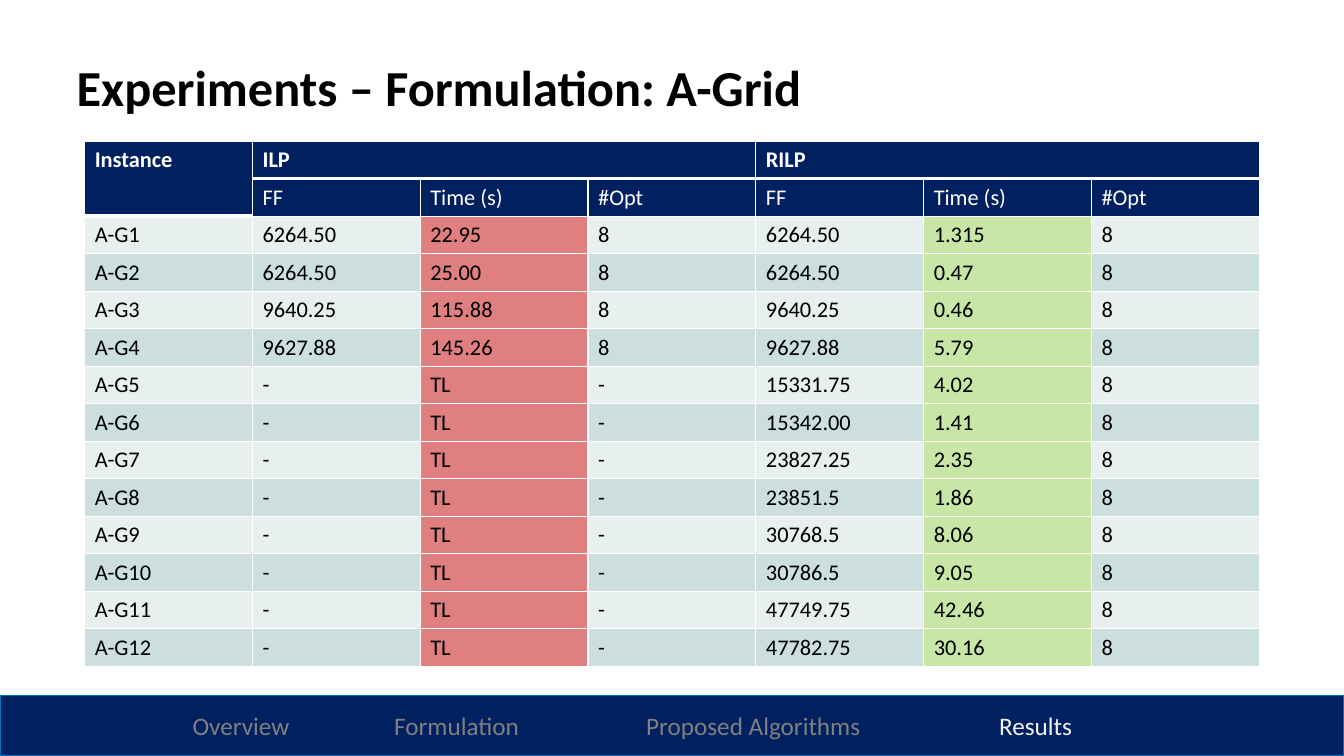
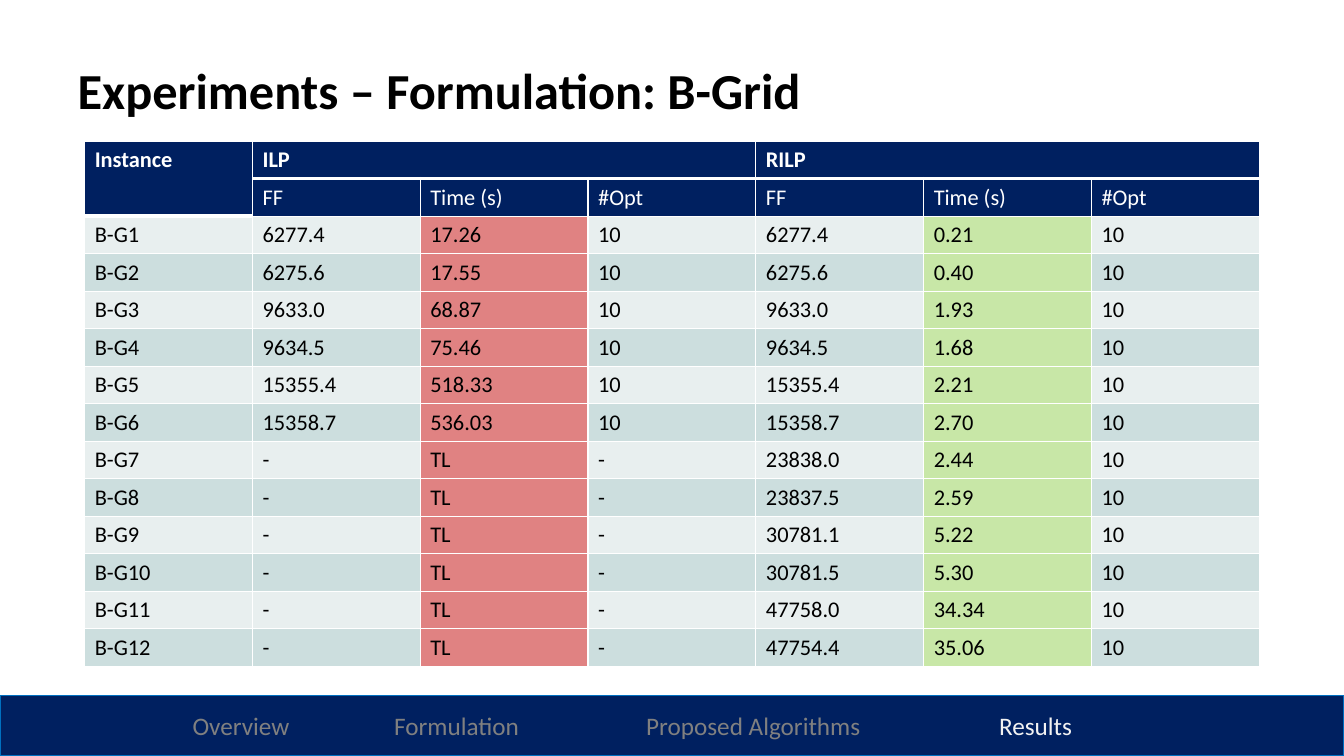
from lxml.etree import SubElement
from pptx import Presentation
from pptx.dml.color import RGBColor
from pptx.enum.shapes import MSO_SHAPE
from pptx.enum.text import MSO_ANCHOR, MSO_AUTO_SIZE, PP_ALIGN
from pptx.oxml.ns import qn
from pptx.util import Inches, Pt

FONT = "Calibri"
COLORS = {
    "navy": "002060",
    "outline": "0070C0",
    "white": "FFFFFF",
    "black": "000000",
    "inactive": "808080",
    "active": "F2F2F2",
    "light_band": "E8EFEF",
    "dark_band": "CCDEDE",
    "slow": "C00000",
    "fast": "92D050",
}

METHODS = ["ILP", "RILP"]
MEASURES = ["FF", "Time (s)", "#Opt"]
TIME_LIMIT = "TL"
SECTIONS = [("Overview", 1.91), ("Formulation", 3.91),
            ("Proposed Algorithms", 6.41), ("Results", 9.91)]
CURRENT_SECTION = "Results"

GRIDS = [
    {
        "name": "A",
        "title_box": (0.66, 0.57, 11.65, 0.67),
        "solved": "8",
        "slow_alpha": 50,
        "runs": [
            ("6264.50", "22.95", "1.315"),
            ("6264.50", "25.00", "0.47"),
            ("9640.25", "115.88", "0.46"),
            ("9627.88", "145.26", "5.79"),
            ("15331.75", "TL", "4.02"),
            ("15342.00", "TL", "1.41"),
            ("23827.25", "TL", "2.35"),
            ("23851.5", "TL", "1.86"),
            ("30768.5", "TL", "8.06"),
            ("30786.5", "TL", "9.05"),
            ("47749.75", "TL", "42.46"),
            ("47782.75", "TL", "30.16"),
        ],
    },
    {
        "name": "B",
        "title_box": (0.67, 0.6, 11.65, 1.24),
        "solved": "10",
        "slow_alpha": 49,
        "runs": [
            ("6277.4", "17.26", "0.21"),
            ("6275.6", "17.55", "0.40"),
            ("9633.0", "68.87", "1.93"),
            ("9634.5", "75.46", "1.68"),
            ("15355.4", "518.33", "2.21"),
            ("15358.7", "536.03", "2.70"),
            ("23838.0", "TL", "2.44"),
            ("23837.5", "TL", "2.59"),
            ("30781.1", "TL", "5.22"),
            ("30781.5", "TL", "5.30"),
            ("47758.0", "TL", "34.34"),
            ("47754.4", "TL", "35.06"),
        ],
    },
]

SLIDE_WIDTH, SLIDE_HEIGHT = 13.33, 7.5
FOOTER_HEIGHT = 0.6
TABLE_LEFT, TABLE_TOP, TABLE_WIDTH = 0.84, 1.4, 11.65
ROW_HEIGHT = 0.37
HEADER_ROWS = 2


def rgb(name):
    return RGBColor.from_string(COLORS[name])


def add_span(para, text, size, color, bold=False):
    span = para.add_run()
    span.text = text
    span.font.name = FONT
    span.font.size = Pt(size)
    span.font.bold = bold
    span.font.color.rgb = rgb(color)


def add_title(page, text, box):
    title = page.shapes.title
    title.left, title.top, title.width, title.height = map(Inches, box)
    frame = title.text_frame
    frame.word_wrap = True
    frame.auto_size = MSO_AUTO_SIZE.NONE
    frame.vertical_anchor = MSO_ANCHOR.TOP
    para = frame.paragraphs[0]
    para.alignment = PP_ALIGN.LEFT
    para.line_spacing = 0.9
    add_span(para, text, 36, "black", True)


def add_footer(page):
    band = page.shapes.add_shape(
        MSO_SHAPE.RECTANGLE, 0, Inches(SLIDE_HEIGHT - FOOTER_HEIGHT),
        Inches(SLIDE_WIDTH), Inches(FOOTER_HEIGHT))
    band.shadow.inherit = False
    band.fill.solid()
    band.fill.fore_color.rgb = rgb("navy")
    band.line.color.rgb = rgb("outline")
    band.line.width = Pt(1)
    frame = band.text_frame
    frame.margin_left = frame.margin_right = 0
    frame.vertical_anchor = MSO_ANCHOR.MIDDLE
    para = frame.paragraphs[0]
    para.alignment = PP_ALIGN.LEFT
    stops = SubElement(para._p.get_or_add_pPr(), qn("a:tabLst"))
    for section, left in SECTIONS:
        SubElement(stops, qn("a:tab"), pos=str(Inches(left)), algn="l")
        color = "active" if section == CURRENT_SECTION else "inactive"
        add_span(para, "\t" + section, 18, color)


def set_borders(cell, row, column):
    first_column = column == 0
    heavy_below = HEADER_ROWS - 1 if first_column else 0
    widths = {
        "L": 1,
        "R": 1,
        "T": 3 if row == heavy_below + 1 else 1,
        "B": 3 if row == heavy_below or (first_column and row == 0) else 1,
    }
    properties = cell._tc.get_or_add_tcPr()
    for side, width in widths.items():
        line = SubElement(properties, qn("a:ln" + side), w=str(Pt(width)))
        fill = SubElement(line, qn("a:solidFill"))
        SubElement(fill, qn("a:srgbClr"), val=COLORS["white"])


def fill_cell(cell, color, alpha=100):
    cell.fill.solid()
    cell.fill.fore_color.rgb = rgb(color)
    if alpha < 100:
        swatch = cell._tc.tcPr.find(qn("a:solidFill")).find(qn("a:srgbClr"))
        SubElement(swatch, qn("a:alpha"), val=str(alpha * 1000))


def table_rows(grid):
    top = ["Instance"]
    for method in METHODS:
        top += [method] + [""] * (len(MEASURES) - 1)
    rows = [top, [""] + MEASURES * len(METHODS)]
    for number, (value, *times) in enumerate(grid["runs"], 1):
        row = [f"{grid['name']}-G{number}"]
        for time in times:
            limited = time == TIME_LIMIT
            row += ["-", time, "-"] if limited else [value, time, grid["solved"]]
        rows.append(row)
    return rows


def add_results(page, grid):
    rows = table_rows(grid)
    columns = len(rows[0])
    table = page.shapes.add_table(
        len(rows), columns, Inches(TABLE_LEFT), Inches(TABLE_TOP),
        Inches(TABLE_WIDTH), Inches(ROW_HEIGHT * len(rows))).table
    table.first_row = table.horz_banding = False
    for column in table.columns:
        column.width = Inches(TABLE_WIDTH / columns)
    time_fills = {
        2: ("slow", grid["slow_alpha"]),
        5: ("fast", 50),
    }
    for r, row in enumerate(rows):
        table.rows[r].height = Inches(ROW_HEIGHT)
        header = r < HEADER_ROWS
        band = "navy" if header else ("light_band", "dark_band")[r % 2]
        for c, text in enumerate(row):
            cell = table.cell(r, c)
            set_borders(cell, r, c)
            fill = (band, 100) if header else time_fills.get(c, (band, 100))
            fill_cell(cell, *fill)
            if text:
                add_span(cell.text_frame.paragraphs[0], text, 16,
                         "white" if header else "black", r == 0)
    table.cell(0, 0).merge(table.cell(HEADER_ROWS - 1, 0))
    for first in range(1, columns, len(MEASURES)):
        table.cell(0, first).merge(table.cell(0, first + len(MEASURES) - 1))


def main():
    deck = Presentation()
    deck.slide_width = Inches(SLIDE_WIDTH)
    deck.slide_height = Inches(SLIDE_HEIGHT)
    for grid in GRIDS:
        page = deck.slides.add_slide(deck.slide_layouts[5])
        add_title(page, f"Experiments – Formulation: {grid['name']}-Grid",
                  grid["title_box"])
        add_results(page, grid)
        add_footer(page)
    deck.save("out.pptx")


if __name__ == "__main__":
    main()
